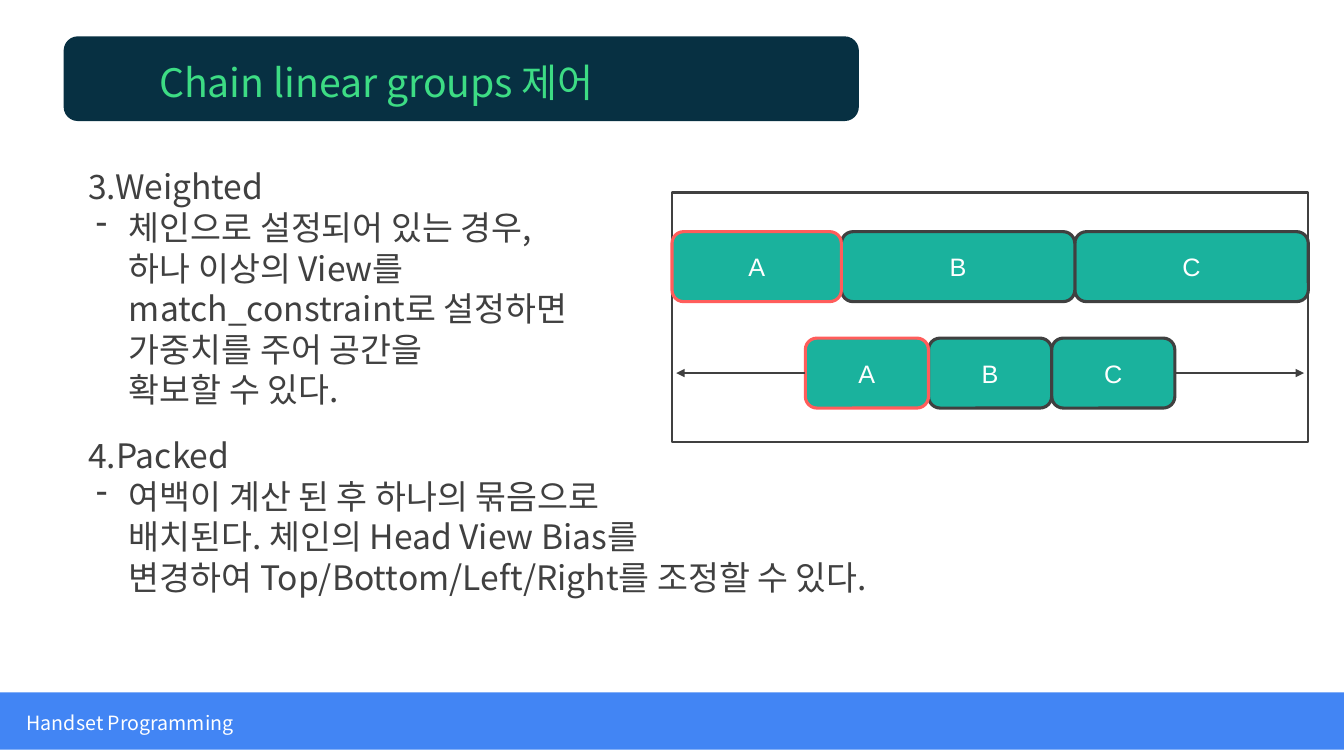
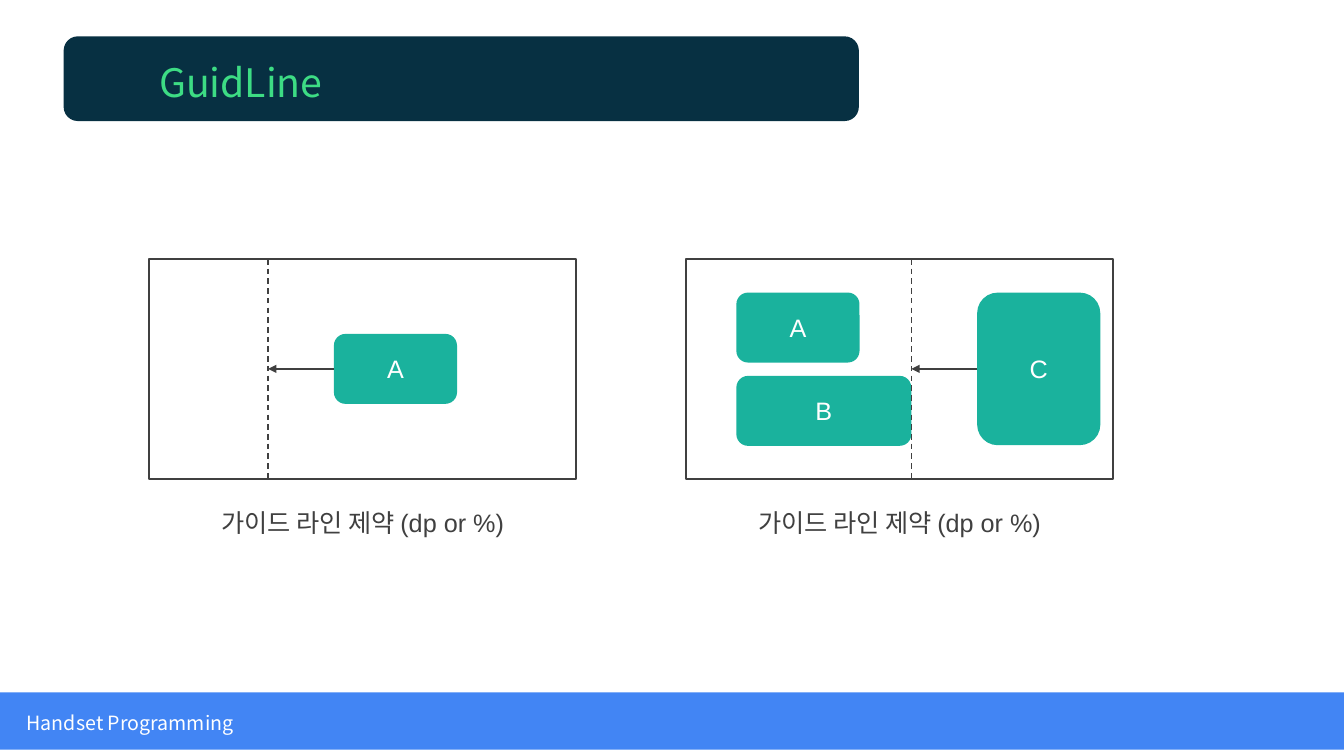
from lxml import etree
from pptx import Presentation
from pptx.dml.color import RGBColor
from pptx.enum import dml, shapes, text
from pptx.oxml import ns
from pptx.util import Pt

COLORS = {
    "ink": "404040",
    "teal": "1AB29D",
    "coral": "FF5D5B",
    "navy": "073042",
    "green": "3DDC84",
    "blue": "4285F4",
    "white": "FFFFFF",
}
SANS, KOREAN = "Arial", "Noto Sans CJK KR"
RECT = shapes.MSO_SHAPE.RECTANGLE
ROUNDED = shapes.MSO_SHAPE.ROUNDED_RECTANGLE
LEFT, CENTER = text.PP_ALIGN.LEFT, text.PP_ALIGN.CENTER
TOP, MIDDLE = text.MSO_ANCHOR.TOP, text.MSO_ANCHOR.MIDDLE
VIEW_WIDTH, VIEW_HEIGHT = 88, 50


def rgb(name):
    return RGBColor.from_string(COLORS[name])


def add_xml(parent, tag, **attributes):
    return etree.SubElement(parent, ns.qn(tag), attributes)


def outline_run(run, color):
    properties = run.font._element
    line = add_xml(properties, "a:ln", w="9525")
    fill = add_xml(line, "a:solidFill")
    tint = add_xml(fill, "a:srgbClr", val=COLORS[color])
    add_xml(tint, "a:alpha", val="30000")
    properties.insert(0, line)


def style_text(frame, size, color, font=KOREAN, align=LEFT, anchor=TOP, outline=None):
    frame.word_wrap = True
    frame.auto_size = text.MSO_AUTO_SIZE.NONE
    frame.vertical_anchor = anchor
    for paragraph in frame.paragraphs:
        paragraph.alignment = align
        if font == KOREAN:
            paragraph.line_spacing = Pt(round(size * 1.2))
        for run in paragraph.runs:
            run.font.size = Pt(size)
            run.font.name = font
            run.font.color.rgb = rgb(color)
            add_xml(run.font._element, "a:ea", typeface=KOREAN)
            if outline:
                outline_run(run, outline)


def add_label(slide, box, content, size, color, **style):
    label = slide.shapes.add_textbox(*map(Pt, box))
    label.text_frame.text = content
    style_text(label.text_frame, size, color, **style)


def add_box(slide, box, kind=RECT, fill=None, line=None, width=1.5):
    shape = slide.shapes.add_shape(kind, *map(Pt, box))
    shape.shadow.inherit = False
    if fill:
        shape.fill.solid()
        shape.fill.fore_color.rgb = rgb(fill)
    else:
        shape.fill.background()
    if line:
        shape.line.color.rgb = rgb(line)
        shape.line.width = Pt(width)
    else:
        shape.line.fill.background()
    return shape


def add_view(slide, name, box, line=None):
    view = add_box(slide, box, ROUNDED, "teal", line, 2.25)
    view.text_frame.text = name
    style_text(view.text_frame, 18, "white", SANS, CENTER, MIDDLE)
    return view


def add_line(slide, start, end):
    line = slide.shapes.add_connector(
        shapes.MSO_CONNECTOR.STRAIGHT, *map(Pt, (*start, *end)))
    line.line.color.rgb = rgb("ink")
    line.line.width = Pt(1)
    add_xml(line.element.spPr, "a:effectLst")
    return line


def add_arrow(slide, view, site, start, end):
    arrow = add_line(slide, start, end)
    add_xml(arrow.line._get_or_add_ln(), "a:tailEnd", type="triangle")
    arrow.begin_connect(view, site)


def add_topic(slide, box, heading, lines):
    topic = slide.shapes.add_textbox(*map(Pt, box)).text_frame
    topic.text = heading
    detail = topic.add_paragraph()
    detail.text = "\v".join(lines)
    style_text(topic, 24, "ink", outline="ink")
    properties = detail._p.get_or_add_pPr()
    properties.set("marL", str(Pt(29)))
    properties.set("indent", str(-Pt(23.5)))
    add_xml(properties, "a:buChar", char="-")


def add_chain(slide, left, top, widths, lines):
    views = []
    for name, width, line in reversed(list(zip("ABC", widths, lines))):
        offset = sum(widths[:"ABC".index(name)])
        box = (left + offset, top, width, VIEW_HEIGHT)
        views.insert(0, add_view(slide, name, box, line))
    return views


def add_guide_panel(slide, left, guide, views):
    top, width, height = 185, 305, 157
    middle = top + height / 2
    add_box(slide, (left, top, width, height), line="ink")
    for name, x, y, view_width, view_height in views:
        view = add_view(slide, name, (left + x, top + y, view_width, view_height))
    guide_x = left + guide
    guideline = add_line(slide, (guide_x, top), (guide_x, top + height))
    guideline.line.dash_style = dml.MSO_LINE.DASH
    add_arrow(slide, view, 1, (left + x, middle), (guide_x, middle))
    add_label(slide, (left, 359, width, 29), "가이드 라인 제약 (dp or %)",
              18, "ink", font=SANS, align=CENTER)


def add_page(deck, heading):
    slide = deck.slides.add_slide(deck.slide_layouts[5])
    add_box(slide, (45.5, 26, 568, 60.5), ROUNDED, "navy")
    add_box(slide, (0, 494.5, 960, 41), fill="blue")
    add_label(slide, (12, 504, 189, 24.5), "Handset Programming", 14, "white")
    title = slide.shapes.title
    title.left, title.top, title.width, title.height = map(Pt, (106.5, 37.5, 480, 41))
    title.text_frame.text = heading
    style_text(title.text_frame, 28, "green", anchor=MIDDLE, outline="teal")
    title.element.getparent().append(title.element)
    return slide


def build_chains(deck):
    slide = add_page(deck, "Chain linear groups 제어")
    add_topic(slide, (56, 115, 404, 181), "3.Weighted", [
        "체인으로 설정되어 있는 경우,",
        "하나 이상의 View를",
        "match_constraint로 설정하면",
        "가중치를 주어 공간을",
        "확보할 수 있다.",
    ])
    add_topic(slide, (56, 307, 647, 124), "4.Packed", [
        "여백이 계산 된 후 하나의 묶음으로",
        "배치된다. 체인의 Head View Bias를",
        "변경하여 Top/Bottom/Left/Right를 조정할 수 있다.",
    ])
    left, width = 480, 454.5
    right = left + width
    add_box(slide, (left, 137.5, width, 178.5), line="ink")
    lines = ("coral", "ink", "ink")
    head = 121
    share = (width - head) / 2
    add_chain(slide, left, 165.5, (head, share, share), lines)
    packed_left = left + (width - 3 * VIEW_WIDTH) / 2
    packed_top = 241.5
    packed = add_chain(slide, packed_left, packed_top, (VIEW_WIDTH,) * 3, lines)
    middle = packed_top + VIEW_HEIGHT / 2
    add_arrow(slide, packed[0], 1, (packed_left, middle), (left + 3, middle))
    add_arrow(slide, packed[2], 3, (packed_left + 3 * VIEW_WIDTH, middle), (right - 3, middle))


def build_guidelines(deck):
    slide = add_page(deck, "GuidLine")
    add_guide_panel(slide, 106.5, 85, [("A", 132, 53.5, VIEW_WIDTH, VIEW_HEIGHT)])
    add_guide_panel(slide, 490, 161, [
        ("A", 36, 24, VIEW_WIDTH, VIEW_HEIGHT),
        ("B", 36, 83.5, 125, VIEW_HEIGHT),
        ("C", 208, 24, VIEW_WIDTH, 109),
    ])


def main():
    deck = Presentation()
    deck.slide_width, deck.slide_height = Pt(960), Pt(540)
    build_chains(deck)
    build_guidelines(deck)
    deck.save("out.pptx")


if __name__ == "__main__":
    main()
